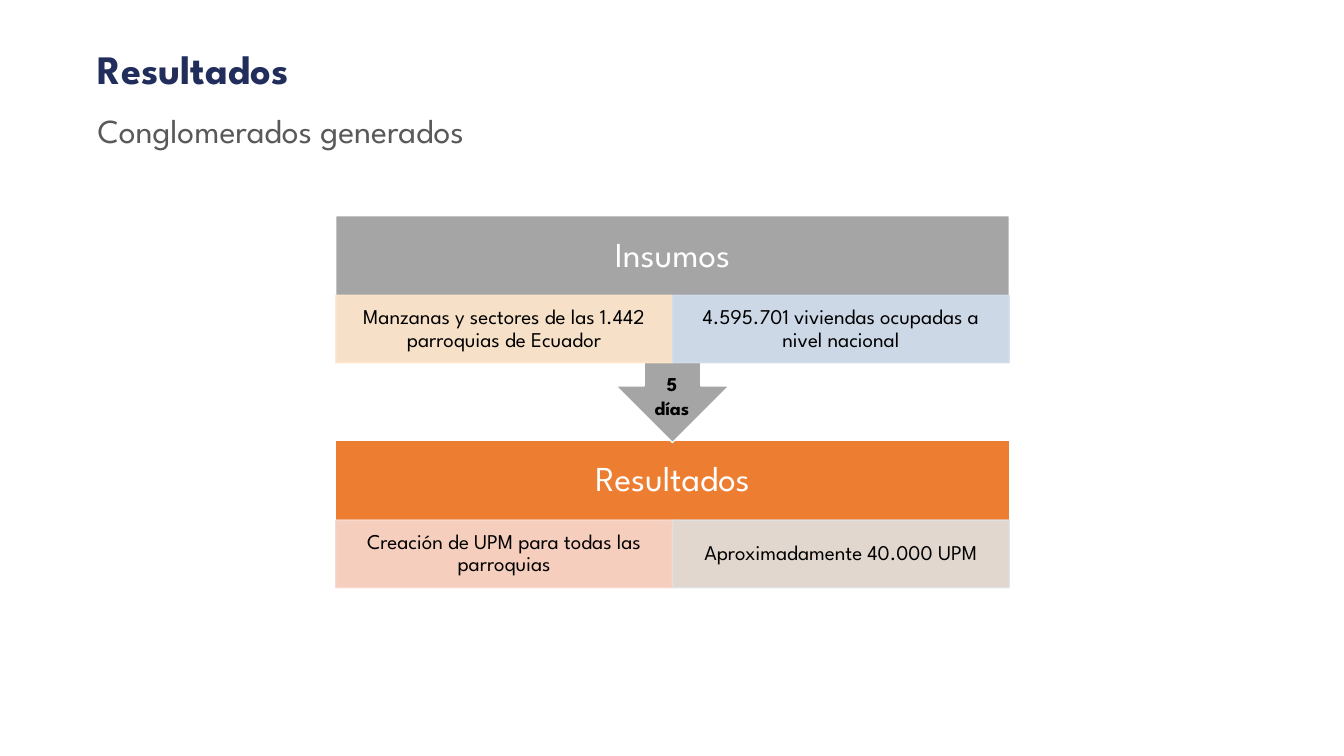
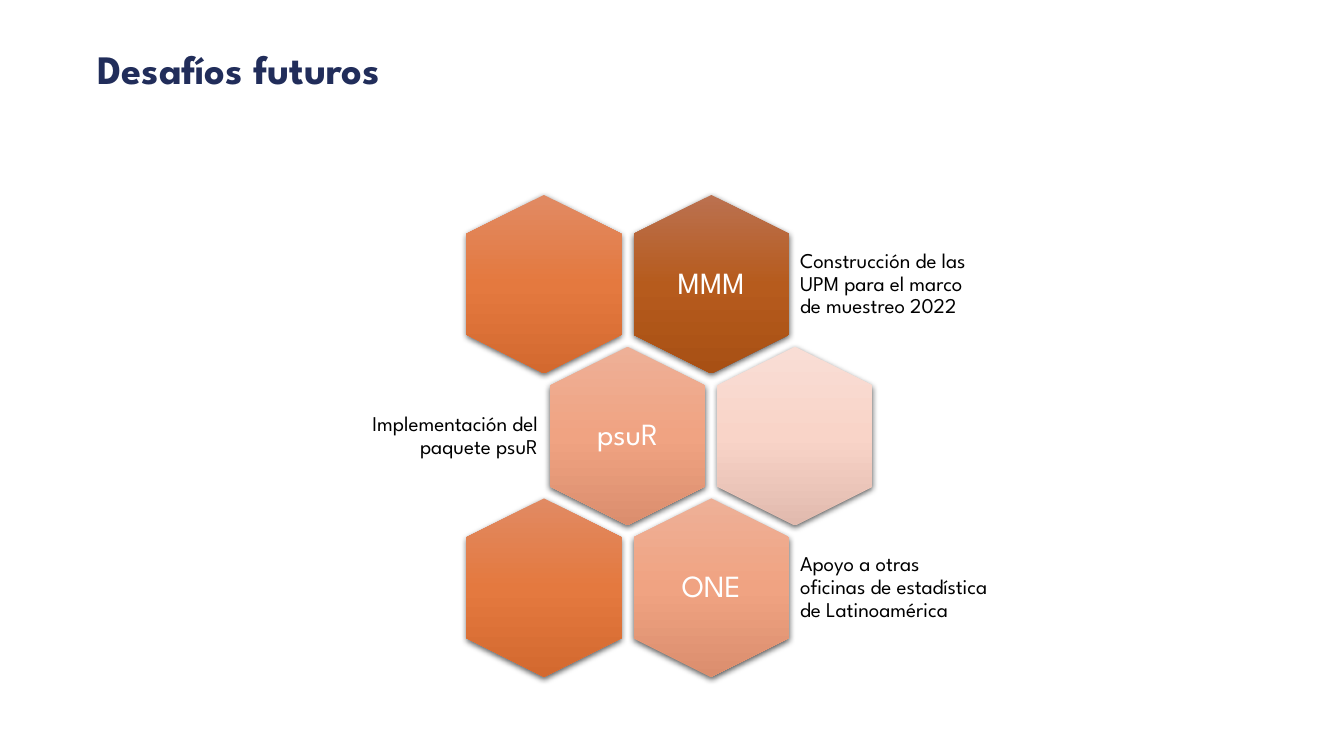
from lxml import etree
from pptx import Presentation
from pptx.dml.color import RGBColor
from pptx.enum.shapes import MSO_SHAPE
from pptx.enum.text import MSO_ANCHOR, PP_ALIGN
from pptx.oxml import parse_xml
from pptx.oxml.ns import nsdecls, qn
from pptx.util import Inches, Pt

LEFT, CENTER, RIGHT = PP_ALIGN.LEFT, PP_ALIGN.CENTER, PP_ALIGN.RIGHT
MIDDLE = MSO_ANCHOR.MIDDLE
RECT, HEXAGON = MSO_SHAPE.RECTANGLE, MSO_SHAPE.HEXAGON
CALLOUT = MSO_SHAPE.DOWN_ARROW_CALLOUT

FONT = "League Spartan"
NAVY = RGBColor(0x21, 0x2D, 0x5A)
SLATE = RGBColor(0x59, 0x59, 0x59)
WHITE = RGBColor(0xFF, 0xFF, 0xFF)
BLACK = RGBColor(0x00, 0x00, 0x00)
GRAY = RGBColor(0xA5, 0xA5, 0xA5)
ORANGE = RGBColor(0xED, 0x7D, 0x31)
CREAM = RGBColor(0xFF, 0xE8, 0xCC)
SKY = RGBColor(0xD2, 0xDE, 0xEF)
ROSE = RGBColor(0xF8, 0xD7, 0xCE)
SILVER = RGBColor(0xE1, 0xE1, 0xE1)
BROWN_STOPS = (RGBColor(0xBB, 0x71, 0x50), RGBColor(0xB6, 0x5B, 0x1D), RGBColor(0xA8, 0x50, 0x14))
ORANGE_STOPS = (RGBColor(0xE1, 0x8A, 0x63), RGBColor(0xE4, 0x79, 0x3F), RGBColor(0xD3, 0x69, 0x2F))
SALMON_STOPS = (RGBColor(0xEE, 0xB0, 0x97), RGBColor(0xF0, 0xA3, 0x82), RGBColor(0xDB, 0x8E, 0x6E))
PINK_STOPS = (RGBColor(0xF9, 0xDD, 0xD5), RGBColor(0xF9, 0xD4, 0xC8), RGBColor(0xE1, 0xBA, 0xAE))


def write(sp, lines, size, color, align=LEFT, insets=(0.1, 0.05, 0.1, 0.05),
          bold=False, spacing=0.9, wrap=True):
    tf = sp.text_frame
    tf.word_wrap = wrap
    tf.vertical_anchor = MIDDLE
    tf.margin_left, tf.margin_top, tf.margin_right, tf.margin_bottom = map(Inches, insets)
    for i, line in enumerate(lines):
        p = tf.add_paragraph() if i else tf.paragraphs[0]
        p.alignment = align
        p.line_spacing = spacing
        r = p.add_run()
        r.text = line
        r.font.name = FONT
        r.font.size = Pt(size)
        r.font.bold = bold
        r.font.color.rgb = color


def box(s, x, y, w, h, shape=None, fill=None, line=None):
    place = [Inches(v) for v in (x, y, w, h)]
    if shape is None:
        return s.shapes.add_textbox(*place)
    sp = s.shapes.add_shape(shape, *place)
    sp.shadow.inherit = False
    if fill is not None:
        sp.fill.solid()
        sp.fill.fore_color.rgb = fill
    if line is None:
        sp.line.fill.background()
    else:
        sp.line.color.rgb = line
        sp.line.width = Pt(1)
    return sp


prs = Presentation()
prs.slide_width, prs.slide_height = Inches(13.33), Inches(7.5)
slides = []
for title in ("Resultados", "Desafíos futuros"):
    s = prs.slides.add_slide(prs.slide_layouts[6])
    write(box(s, 0.87, 0.42, 7.9, 0.58), [title], 28.8, NAVY, bold=True)
    slides.append(s)

s = slides[0]
write(box(s, 0.87, 1.04, 7.9, 0.55), ["Conglomerados generados"], 24, SLATE)

BLOCK_X, BLOCK_W, HEAD_H, CELL_H = 3.33, 6.68, 0.79, 0.67
CELL_W = BLOCK_W / 2
blocks = [
    ("Resultados", RECT, 4.37, HEAD_H + CELL_H, ORANGE,
     [("Creación de UPM para todas las parroquias", ROSE),
      ("Aproximadamente 40.000 UPM", SILVER)]),
    ("Insumos", CALLOUT, 2.14, 2.25, GRAY,
     [("Manzanas y sectores de las 1.442 parroquias de Ecuador", CREAM),
      ("4.595.701 viviendas ocupadas a nivel nacional", SKY)]),
]
for head, shape, y, h, color, cells in blocks:
    sp = box(s, BLOCK_X, y, BLOCK_W, h, shape, color, WHITE)
    write(sp, [head], 25, WHITE, CENTER, (0.19, 0, 0.19, CELL_H))
    for col, (text, tint) in enumerate(cells):
        sp = box(s, BLOCK_X + col * CELL_W, y + HEAD_H, CELL_W, CELL_H, RECT, tint, tint)
        for clr in sp._element.spPr.iter(qn("a:srgbClr")):
            etree.SubElement(clr, qn("a:alpha")).set("val", "90000")
        write(sp, [text], 15, BLACK, CENTER, (0.12, 0.02, 0.12, 0.02))
write(box(s, 6.37, 3.64, 0.59, 0.57), ["5", "días"], 14, BLACK, CENTER,
      bold=True, spacing=1, wrap=False)

s = slides[1]
HEX_W, HEX_H = 1.77, 1.54
HALF_COL, ROW = 0.83, 1.505
GRID_X, GRID_Y = 5.395, 2.935
LABEL_W, LABEL_H, NOTE_H = 1.06, 1.22, 1.06
hexagons = [
    (2, 0, BROWN_STOPS, "MMM", "Construcción de las UPM para el marco de muestreo 2022", LEFT),
    (0, 0, ORANGE_STOPS, None, None, None),
    (1, 1, SALMON_STOPS, "psuR", "Implementación del paquete psuR", RIGHT),
    (3, 1, PINK_STOPS, None, None, None),
    (2, 2, SALMON_STOPS, "ONE", "Apoyo a otras oficinas de estadística de Latinoamérica", LEFT),
    (0, 2, ORANGE_STOPS, None, None, None),
]
for col, row, stops, label, note, align in hexagons:
    cx = GRID_X + col * HALF_COL
    cy = GRID_Y - 0.115 + row * ROW
    sp = box(s, cx - HEX_W / 2, cy - HEX_H / 2, HEX_W, HEX_H, HEXAGON)
    sp.rotation = 90
    sp.adjustments[0] = 0.25
    spPr = sp._element.spPr
    marks = "".join(f'<a:gs pos="{i * 50000}"><a:srgbClr val="{c}"/></a:gs>'
                    for i, c in enumerate(stops))
    spPr.find(qn("a:prstGeom")).addnext(parse_xml(
        f'<a:gradFill {nsdecls("a")} rotWithShape="0"><a:gsLst>{marks}</a:gsLst>'
        '<a:lin ang="5400000" scaled="0"/></a:gradFill>'))
    spPr.find(qn("a:effectLst")).append(parse_xml(
        f'<a:outerShdw {nsdecls("a")} blurRad="57150" dist="19050" dir="5400000" '
        'algn="ctr" rotWithShape="0"><a:srgbClr val="000000"><a:alpha val="63000"/>'
        '</a:srgbClr></a:outerShdw>'))
    if label:
        sp = box(s, cx - LABEL_W / 2, cy - LABEL_H / 2, LABEL_W, LABEL_H)
        write(sp, [label], 22, WHITE, CENTER, (0.09,) * 4)
        note_w = 1.98 if align == LEFT else 1.91
        note_x = cx + 0.82 if align == LEFT else cx - 0.83 - note_w
        sp = box(s, note_x, cy - NOTE_H / 2, note_w, NOTE_H)
        write(sp, [note], 15, BLACK, align, (0.06,) * 4)

prs.save("out.pptx")
